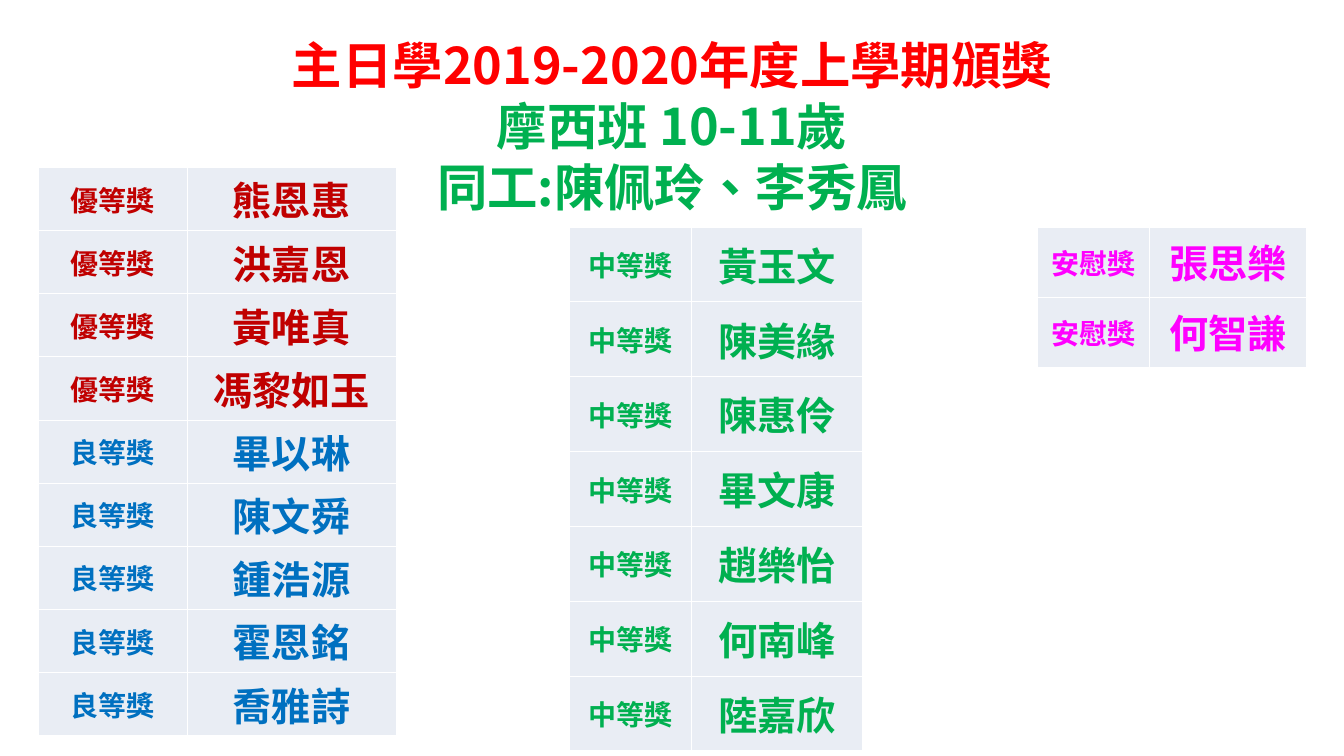
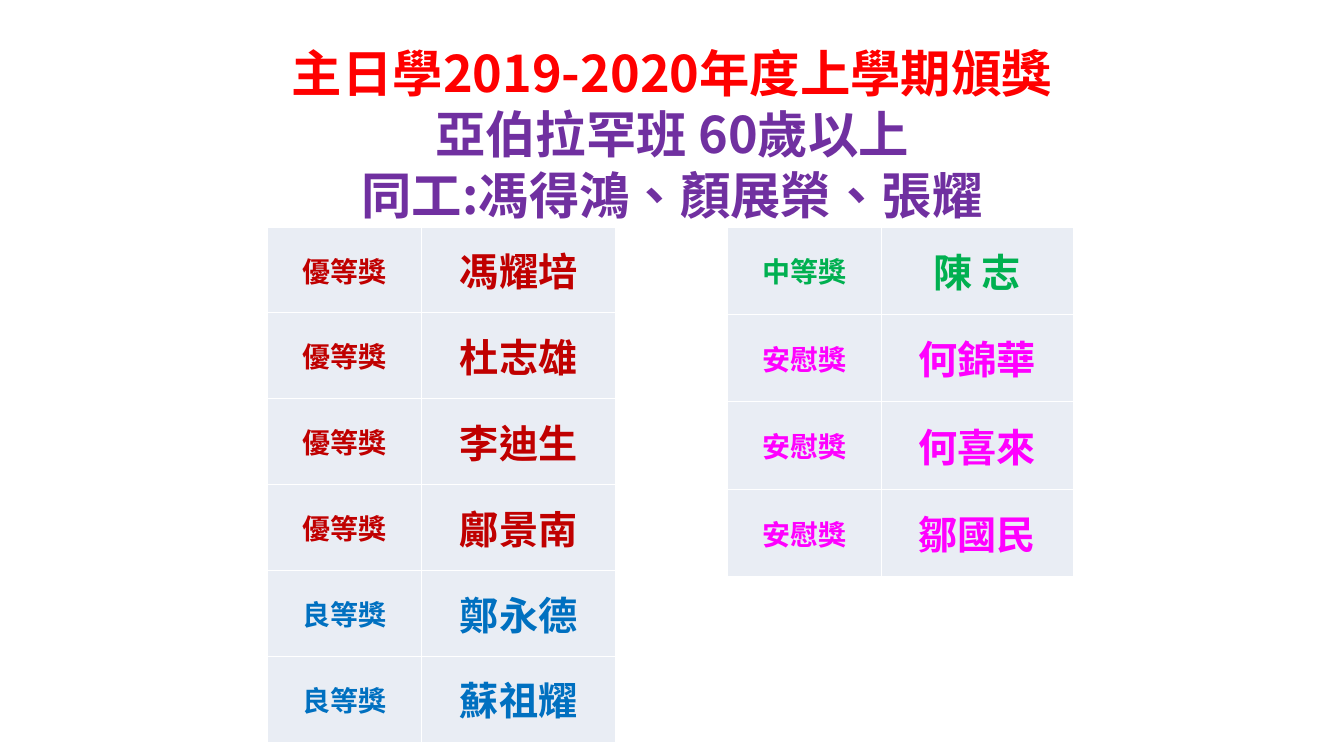
from lxml import etree
from pptx import Presentation
from pptx import util as u
from pptx.dml.color import RGBColor
from pptx.enum import lang, text
from pptx.oxml.ns import qn

WIDE, HIGH = 13.34, 7.5
TITLE = "主日學2019-2020年度上學期頒獎"
HEAD, BODY = "Noto Sans CJK SC", "Calibri"

RED = RGBColor(0xFF, 0x00, 0x00)
GREEN = RGBColor(0x00, 0xB0, 0x50)
PURPLE = RGBColor(0x70, 0x30, 0xA0)
CRIMSON = RGBColor(0xC0, 0x00, 0x00)
BLUE = RGBColor(0x00, 0x70, 0xC0)
PINK = RGBColor(0xFF, 0x00, 0xFF)
PALE = RGBColor(0xE9, 0xED, 0xF4)
WHITE = RGBColor(0xFF, 0xFF, 0xFF)

AWARDS = {"優等獎": CRIMSON, "良等獎": BLUE, "中等獎": GREEN, "安慰獎": PINK}


def style(para, font, size, color):
    para.alignment = text.PP_ALIGN.CENTER
    para.font.name = font
    para.font.size = u.Pt(size)
    para.font.bold = True
    para.font.color.rgb = color
    para.font.language_id = lang.MSO_LANGUAGE_ID.TRADITIONAL_CHINESE


def add_head(slide, top, lines, color):
    """Fill the title: the shared first line in red, the class lines in color."""
    head = slide.shapes.title
    head.left, head.top = 0, u.Inches(top)
    head.width, head.height = u.Inches(WIDE), u.Inches(1.95)
    frame = head.text_frame
    frame.word_wrap = True
    frame.auto_size = text.MSO_AUTO_SIZE.NONE
    frame.vertical_anchor = text.MSO_ANCHOR.TOP
    frame.text = "\n".join([TITLE, *lines])
    for i, para in enumerate(frame.paragraphs):
        style(para, HEAD, 36, color if i else RED)
        para.line_spacing = u.Pt(43.6)


def edge(cell):
    """Draw thin white borders; they must come before the cell's fill."""
    props = cell._tc.get_or_add_tcPr()
    for i, side in enumerate(("lnL", "lnR", "lnT", "lnB")):
        line = etree.Element(qn("a:" + side), w=str(u.Pt(0.45)))
        fill = etree.SubElement(line, qn("a:solidFill"))
        etree.SubElement(fill, qn("a:srgbClr"), val=str(WHITE))
        props.insert(i, line)


def fill_cell(cell, word, size, color):
    """Write one word; slim margins keep the row at its set height."""
    cell.text = word
    style(cell.text_frame.paragraphs[0], BODY, size, color)
    cell.vertical_anchor = text.MSO_ANCHOR.MIDDLE
    cell.margin_left = cell.margin_right = u.Inches(0.01)
    cell.margin_top = cell.margin_bottom = u.Inches(0.01)
    cell.fill.solid()
    cell.fill.fore_color.rgb = PALE
    edge(cell)


def add_list(slide, box, share, groups):
    """Add award and name rows; share is the award column's part of the width."""
    rows = [(award, name) for award, names in groups for name in names]
    left, top, width, height = map(u.Inches, box)
    table = slide.shapes.add_table(len(rows), 2, left, top, width, height).table
    table.first_row = table.horz_banding = False
    table.columns[0].width = int(width * share)
    table.columns[1].width = width - table.columns[0].width
    for r, (award, name) in enumerate(rows):
        table.rows[r].height = height // len(rows)
        fill_cell(table.cell(r, 0), award, 20, AWARDS[award])
        fill_cell(table.cell(r, 1), name, 28, AWARDS[award])


def add_class(deck, top, lines, color, share, lists):
    slide = deck.slides.add_slide(deck.slide_layouts[5])
    add_head(slide, top, lines, color)
    for box, groups in lists:
        add_list(slide, box, share, groups)


def main():
    deck = Presentation()
    deck.slide_width, deck.slide_height = u.Inches(WIDE), u.Inches(HIGH)
    add_class(deck, 0.28, ["摩西班 10-11歲", "同工:陳佩玲、李秀鳳"], GREEN, 0.416, [
        ((0.38, 1.66, 3.55, 5.64), [
            ("優等獎", ["熊恩惠", "洪嘉恩", "黃唯真", "馮黎如玉"]),
            ("良等獎", ["畢以琳", "陳文舜", "鍾浩源", "霍恩銘", "喬雅詩"])]),
        ((5.65, 2.25, 2.91, 5.2), [
            ("中等獎", ["黃玉文", "陳美緣", "陳惠伶", "畢文康",
                     "趙樂怡", "何南峰", "陸嘉欣"])]),
        ((10.3, 2.25, 2.67, 1.39), [("安慰獎", ["張思樂", "何智謙"])])])
    add_class(deck, 0.36, ["亞伯拉罕班 60歲以上", "同工:馮得鴻、顏展榮、張耀"], PURPLE, 0.444, [
        ((2.65, 2.25, 3.46, 5.11), [
            ("優等獎", ["馮耀培", "杜志雄", "李迪生", "鄺景南"]),
            ("良等獎", ["鄭永德", "蘇祖耀"])]),
        ((7.22, 2.25, 3.43, 3.47), [
            ("中等獎", ["陳 志"]),
            ("安慰獎", ["何錦華", "何喜來", "鄒國民"])])])
    deck.save("out.pptx")


if __name__ == "__main__":
    main()
